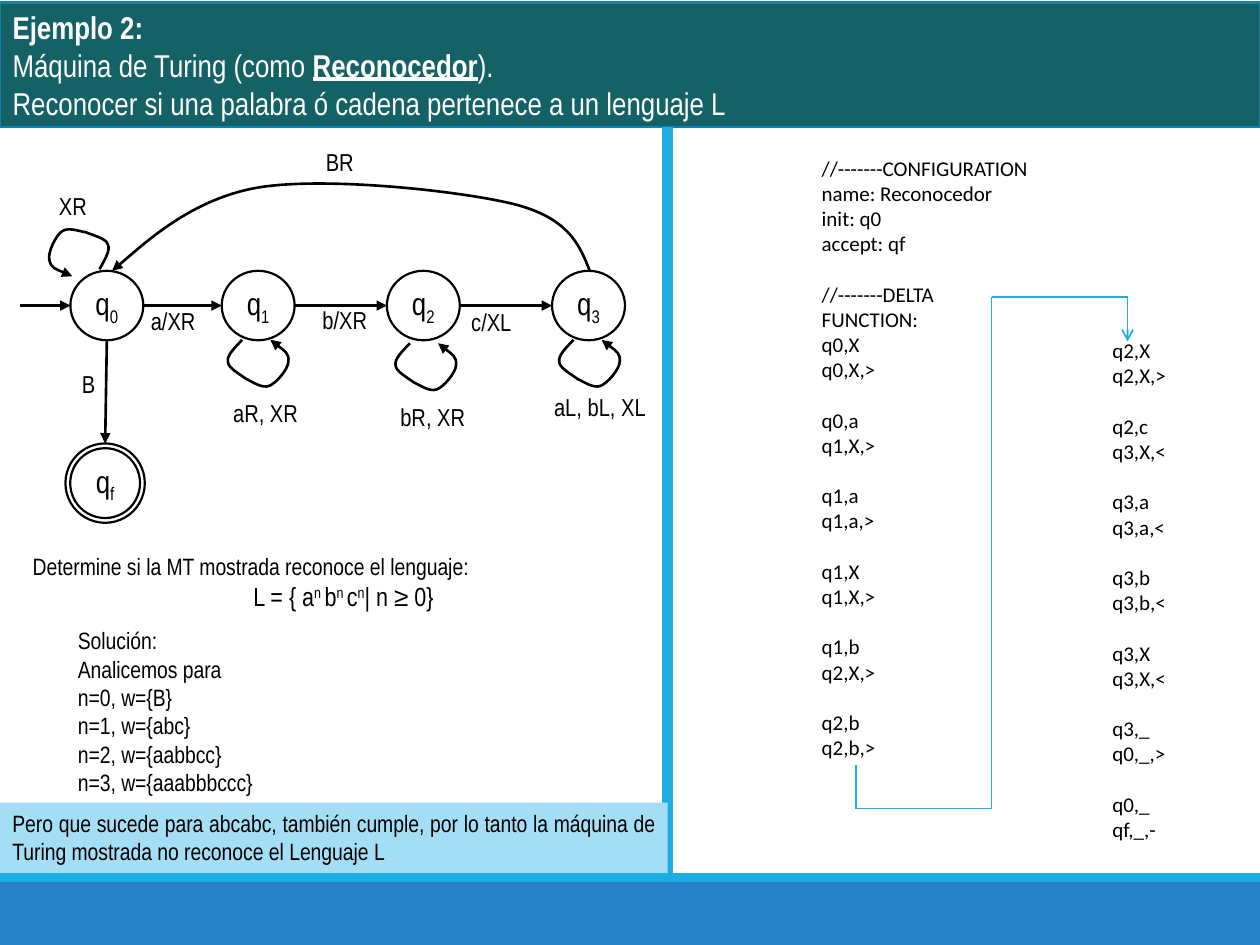
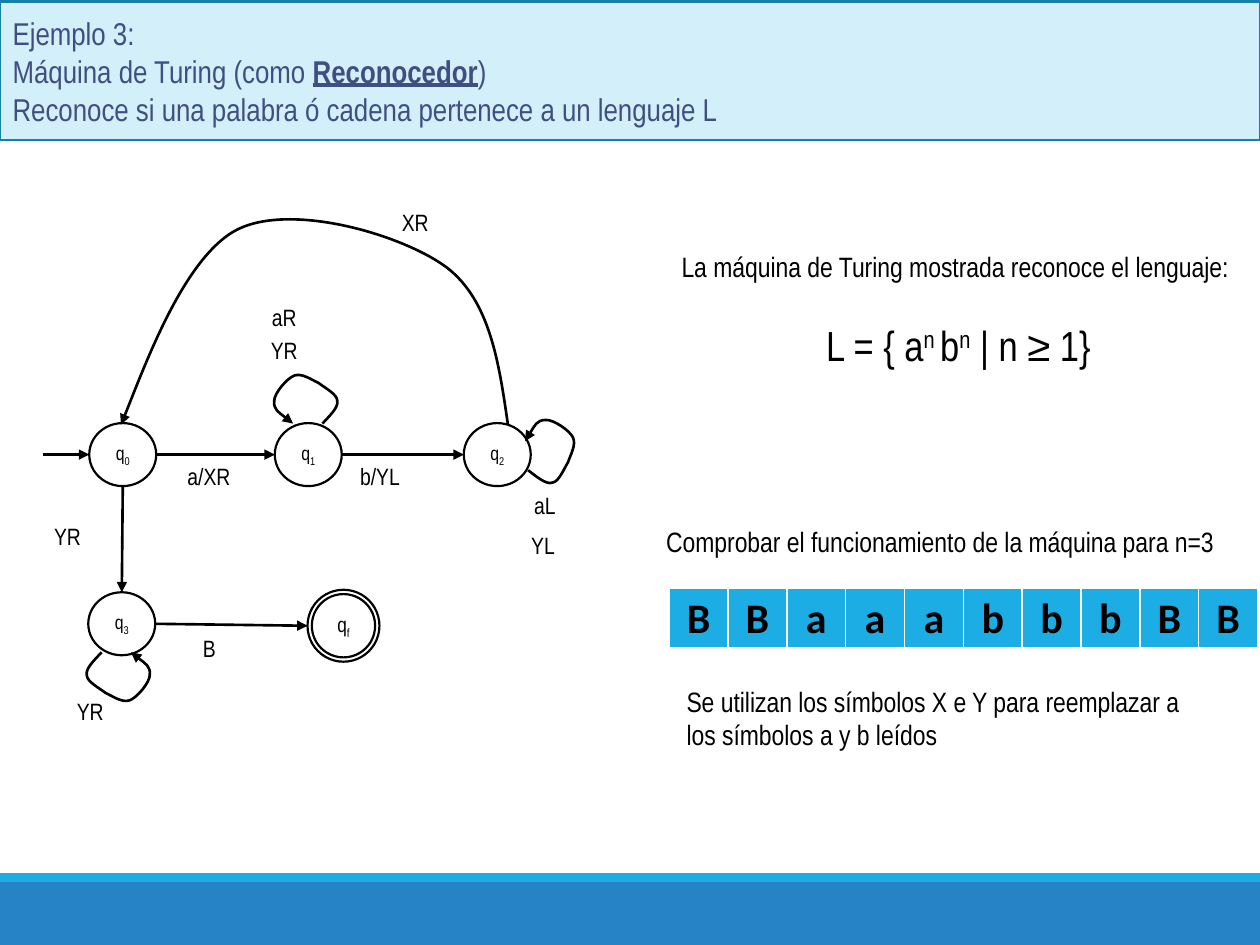
from dataclasses import dataclass
from itertools import pairwise
from math import cos, radians, sin
from typing import NamedTuple

from lxml import etree
from pptx import Presentation
from pptx.dml.color import RGBColor
from pptx.enum.shapes import MSO_CONNECTOR, MSO_SHAPE
from pptx.enum.text import MSO_ANCHOR, MSO_AUTO_SIZE, PP_ALIGN
from pptx.oxml.ns import qn
from pptx.util import Cm, Pt

RECTANGLE, ELLIPSE, DONUT = MSO_SHAPE.RECTANGLE, MSO_SHAPE.OVAL, MSO_SHAPE.DONUT
STRAIGHT = MSO_CONNECTOR.STRAIGHT
LEFT, CENTER, JUSTIFY = PP_ALIGN.LEFT, PP_ALIGN.CENTER, PP_ALIGN.JUSTIFY
TOP, MIDDLE = MSO_ANCHOR.TOP, MSO_ANCHOR.MIDDLE
SLIDE_WIDTH, SLIDE_HEIGHT = 25.4, 19.05
TWO_CONTENT, TITLE_ONLY = 3, 5
SUPERSCRIPT, SUBSCRIPT = 30, -25


@dataclass(frozen=True)
class Theme:
    black: str = "000000"
    white: str = "FFFFFF"
    teal: str = "146266"
    pale: str = "D2EFFA"
    light: str = "A4DEF4"
    accent: str = "1CADE4"
    footer: str = "2683C6"
    border: str = "1580A9"
    slate: str = "404F80"
    narrow: str = "Arial Narrow"
    sans: str = "Calibri"
    title: float = 18
    tape: float = 24
    formula: float = 24
    body: float = 16
    note: float = 13.5
    note_formula: float = 15
    code: float = 12
    code_gap: float = 14.4
    state_line: float = 1.25
    edge_line: float = 1.5


THEME = Theme()


class Box(NamedTuple):
    """Left, top, width and height in centimetres."""
    left: float
    top: float
    width: float
    height: float

    def lengths(self):
        return [Cm(value) for value in self]


class Span(NamedTuple):
    text: str
    bold: bool = False
    underline: bool = False
    baseline: int = 0


@dataclass
class Para:
    spans: list[Span]
    size: float
    align: PP_ALIGN = LEFT
    before: float = 0


@dataclass
class State:
    index: str
    box: Box
    size: float
    final: bool = False

    def side(self, across: float, down: float) -> tuple[float, float]:
        left, top, width, height = self.box
        return left + across * width, top + down * height


class Loop(NamedTuple):
    x: float
    y: float
    angle: float


class Label(NamedTuple):
    text: str
    left: float
    top: float
    width: float


@dataclass
class Machine:
    states: list[State]
    row: list[int]
    row_start: float
    drop: tuple[int, int]
    loops: list[Loop]
    loop_scale: float
    arc: list[tuple[float, float]]
    labels: list[Label]
    label_size: float
    label_height: float


LOOP_CURVE = [(.32, .5), (.47, .34), (.65, .17), (.62, .04), (.62, -.09), (.37, -.22),
              (.24, -.32), (.09, -.39), (-.09, -.52), (-.24, -.47), (-.39, -.42),
              (-.65, -.11), (-.65, .04), (-.67, .22), (-.47, .34), (-.27, .5)]


def rgb(color: str) -> RGBColor:
    return RGBColor.from_string(color)


def plain(text: str, size: float, align=LEFT, before: float = 0) -> Para:
    return Para([Span(text)], size, align, before)


def write(frame, paras: list[Para], color=THEME.black, font=THEME.narrow, anchor=TOP):
    frame.word_wrap = True
    frame.auto_size = MSO_AUTO_SIZE.NONE
    frame.vertical_anchor = anchor
    for number, para in enumerate(paras):
        paragraph = frame.add_paragraph() if number else frame.paragraphs[0]
        properties = paragraph._p.get_or_add_pPr()
        properties.set("marL", "0")
        properties.set("indent", "0")
        etree.SubElement(properties, qn("a:buNone"))
        paragraph.alignment = para.align
        paragraph.space_before = Pt(para.before)
        for span in para.spans:
            run = paragraph.add_run()
            run.text = span.text
            run.font.name, run.font.size = font, Pt(para.size)
            run.font.bold, run.font.underline = span.bold, span.underline
            run.font.color.rgb = rgb(color)
            if span.baseline:
                run._r.get_or_add_rPr().set("baseline", str(span.baseline * 1000))


def add_text(slide, box: Box, paras: list[Para]):
    frame = slide.shapes.add_textbox(*box.lengths()).text_frame
    write(frame, paras)
    return frame


def add_rectangle(slide, box: Box, fill: str):
    shape = slide.shapes.add_shape(RECTANGLE, *box.lengths())
    shape.shadow.inherit = False
    shape.fill.solid()
    shape.fill.fore_color.rgb = rgb(fill)
    shape.line.fill.background()
    return shape


def set_line(shape, color: str, width: float, head: str = ""):
    shape.line.color.rgb = rgb(color)
    shape.line.width = Pt(width)
    if head:
        etree.SubElement(shape.element.spPr.find(qn("a:ln")), qn("a:tailEnd"), type=head)


def add_line(slide, start, end, color=THEME.black, width=THEME.edge_line, head=""):
    ends = [Cm(value) for value in (*start, *end)]
    connector = slide.shapes.add_connector(STRAIGHT, *ends)
    set_line(connector, color, width, head)
    etree.SubElement(connector.element.spPr, qn("a:effectLst"))


def add_curve(slide, points: list[tuple[float, float]]):
    """Draw a start point and then triples of Bézier points, ending in an arrowhead."""
    start, *rest = [(Cm(x), Cm(y)) for x, y in points]
    builder = slide.shapes.build_freeform(*start)
    builder.add_line_segments(rest, close=False)
    curve = builder.convert_to_shape()
    outline = curve.element.spPr.find(".//" + qn("a:path"))
    steps = outline.findall(qn("a:lnTo"))
    for first, second, third in zip(steps[::3], steps[1::3], steps[2::3]):
        first.tag = qn("a:cubicBezTo")
        for step in (second, third):
            first.append(step[0])
            outline.remove(step)
    curve.shadow.inherit = False
    curve.fill.background()
    set_line(curve, THEME.black, THEME.edge_line, "triangle")


def add_loop(slide, loop: Loop, scale: float):
    across, down = scale * cos(radians(loop.angle)), scale * sin(radians(loop.angle))
    add_curve(slide, [(loop.x + x * across - y * down, loop.y + x * down + y * across)
                      for x, y in LOOP_CURVE])


def add_state(slide, state: State):
    shape = slide.shapes.add_shape(DONUT if state.final else ELLIPSE, *state.box.lengths())
    if state.final:
        shape.adjustments[0] = 0.06
    shape.shadow.inherit = False
    shape.fill.background()
    set_line(shape, THEME.black, THEME.state_line)
    frame = shape.text_frame
    write(frame, [Para([Span("q"), Span(state.index, baseline=SUBSCRIPT)],
                       state.size, CENTER)], anchor=MIDDLE)
    frame.word_wrap = False
    frame.margin_left = frame.margin_right = 0


def add_machine(slide, machine: Machine):
    for state in machine.states:
        add_state(slide, state)
    row = [machine.states[number] for number in machine.row]
    entry = row[0].side(0, .5)
    add_line(slide, (machine.row_start, entry[1]), entry, head="triangle")
    for source, target in pairwise(row):
        add_line(slide, source.side(1, .5), target.side(0, .5), head="triangle")
    source, target = (machine.states[number] for number in machine.drop)
    add_line(slide, source.side(.5, 1), target.side(.5, 0), head="triangle")
    add_curve(slide, machine.arc)
    for loop in machine.loops:
        add_loop(slide, loop, machine.loop_scale)
    for label in machine.labels:
        box = Box(label.left, label.top, label.width, machine.label_height)
        frame = add_text(slide, box, [plain(label.text, machine.label_size)])
        frame.word_wrap = False
        frame.auto_size = MSO_AUTO_SIZE.SHAPE_TO_FIT_TEXT


def place(placeholder, box: Box):
    placeholder.left, placeholder.top, placeholder.width, placeholder.height = box.lengths()


def add_title(slide, box: Box, fill: str, color: str, example: Span, ending: str, goal: str):
    title = slide.shapes.title
    place(title, box)
    title.fill.solid()
    title.fill.fore_color.rgb = rgb(fill)
    set_line(title, THEME.border, THEME.state_line)
    lines = [[example],
             [Span("Máquina de Turing (como "), Span("Reconocedor", True, True), Span(ending)],
             [Span(goal + " si una palabra ó cadena pertenece a un lenguaje L")]]
    write(title.text_frame, [Para(line, THEME.title) for line in lines], color, anchor=MIDDLE)


def add_code(placeholder, box: Box, blocks: list[str]):
    """Fill a body placeholder with code; blocks are set apart, lines split at |."""
    place(placeholder, box)
    paras = [plain(line, THEME.code, before=THEME.code_gap if number and not row else 0)
             for number, block in enumerate(blocks)
             for row, line in enumerate(block.split("|"))]
    write(placeholder.text_frame, paras, font=THEME.sans)


def add_master_bands(deck, slide):
    bands = [(Box(0, 17.78, SLIDE_WIDTH, 1.27), THEME.footer),
             (Box(0, 17.6, SLIDE_WIDTH, .18), THEME.accent)]
    tree = deck.slide_master.element.cSld.spTree
    for number, (box, fill) in enumerate(bands):
        band = add_rectangle(slide, box, fill)
        band.element.nvSpPr.cNvPr.id = 20 + number
        tree.insert(2 + number, band.element)


def add_tape(slide, box: Box, symbols: str):
    table = slide.shapes.add_table(1, len(symbols), *box.lengths()).table
    table.first_row = table.horz_banding = False
    for cell, symbol in zip(table.rows[0].cells, symbols):
        properties = cell._tc.get_or_add_tcPr()
        for side, width in (("L", 1), ("R", 1), ("T", 1), ("B", 3)):
            border = etree.SubElement(properties, qn("a:ln" + side), w=str(Pt(width)))
            fill = etree.SubElement(border, qn("a:solidFill"))
            etree.SubElement(fill, qn("a:srgbClr"), val=THEME.white)
        cell.fill.solid()
        cell.fill.fore_color.rgb = rgb(THEME.accent)
        cell.margin_left = cell.margin_right = Cm(.18)
        cell.margin_top = cell.margin_bottom = Cm(.1)
        cell.text = symbol
        paragraph = cell.text_frame.paragraphs[0]
        paragraph.alignment = CENTER
        font = paragraph.runs[0].font
        font.name, font.size, font.bold = THEME.sans, Pt(THEME.tape), True
        font.color.rgb = rgb(THEME.black)


def build_example_2(deck):
    slide = deck.slides.add_slide(deck.slide_layouts[TWO_CONTENT])
    add_master_bands(deck, slide)
    add_title(slide, Box(0, .05, SLIDE_WIDTH, 2.51), THEME.teal, THEME.white,
              Span("Ejemplo 2:", bold=True), ").", "Reconocer")
    add_code(slide.placeholders[1], Box(16.31, 3, 4.78, 13.08), [
        "//-------CONFIGURATION|name: Reconocedor|init: q0|accept: qf",
        "//-------DELTA FUNCTION:|q0,X|q0,X,>", "q0,a|q1,X,>", "q1,a|q1,a,>",
        "q1,X|q1,X,>", "q1,b|q2,X,>", "q2,b|q2,b,>"])
    add_code(slide.placeholders[2], Box(22.17, 6.68, 1.83, 10.52), [
        "q2,X|q2,X,>", "q2,c|q3,X,<", "q3,a|q3,a,<", "q3,b|q3,b,<", "q3,X|q3,X,<",
        "q3,_|q0,_,>", "q0,_|qf,_,-"])
    route = [(17.25, 15.42), (17.25, 16.3), (19.99, 16.3), (19.99, 5.99), (22.73, 5.99),
             (22.73, 6.88)]
    for start, end in pairwise(route):
        add_line(slide, start, end, THEME.accent, 1, "arrow" if end == route[-1] else "")
    add_line(slide, (13.46, 2.57), (13.46, 17.6), THEME.accent, 6)

    formula = [Span("L = { a"), Span("n ", baseline=SUPERSCRIPT), Span("b"),
               Span("n ", baseline=SUPERSCRIPT), Span("c"),
               Span("n", baseline=SUPERSCRIPT), Span("| n ≥ 0}")]
    add_text(slide, Box(.41, 11, 13.03, 1.47), [
        plain("Determine si la MT mostrada reconoce el lenguaje:", THEME.note),
        Para(formula, THEME.note_formula, CENTER)])
    solution = ["Solución:", "Analicemos para", "n=0, w={B}", "n=1, w={abc}",
                "n=2, w={aabbcc}", "n=3, w={aaabbbccc}"]
    add_text(slide, Box(1.32, 12.5, 4.09, 3.71), [plain(line, THEME.note) for line in solution])
    conclusion = add_rectangle(slide, Box(0, 16.18, 13.46, 1.42), THEME.light)
    write(conclusion.text_frame, [plain(
        "Pero que sucede para abcabc, también cumple, por lo tanto la máquina de Turing "
        "mostrada no reconoce el Lenguaje L", THEME.note, JUSTIFY)])

    states = [State(str(number), Box(left, 5.46, 1.47, 1.4), 18)
              for number, left in enumerate((1.42, 4.47, 7.8, 11.13))]
    states.append(State("f", Box(1.32, 8.94, 1.6, 1.6), 18, final=True))
    add_machine(slide, Machine(
        states, row=[0, 1, 2, 3], row_start=.41, drop=(0, 4),
        loops=[Loop(1.59, 5.04, -14.5), Loop(5.19, 7.33, 180), Loop(8.57, 7.4, 180),
               Loop(11.87, 7.33, 180)], loop_scale=.96,
        arc=[(11.89, 5.46), (11.68, 4.93), (11.46, 4.39), (10.34, 4.11), (9.22, 3.84),
             (6.55, 3.56), (5.21, 3.78), (3.86, 4.01), (2.72, 5.08), (2.26, 5.46)],
        labels=[Label("a/XR", 2.79, 6.05, 1.52), Label("aR, XR", 4.45, 7.9, 1.96),
                Label("aL, bL, XL", 10.92, 7.77, 2.57), Label("BR", 6.32, 2.84, 1.17),
                Label("b/XR", 6.25, 6.02, 1.52), Label("c/XL", 9.25, 6.07, 1.42),
                Label("B", 1.4, 7.32, .84), Label("bR, XR", 7.82, 7.98, 1.96),
                Label("XR", .94, 3.73, 1.17)], label_size=14, label_height=.94))


def build_example_3(deck):
    slide = deck.slides.add_slide(deck.slide_layouts[TITLE_ONLY])
    add_title(slide, Box(0, .03, SLIDE_WIDTH, 2.79), THEME.pale, THEME.slate,
              Span("Ejemplo 3:"), ")", "Reconoce")
    formula = [Span("L = { a"), Span("n ", baseline=SUPERSCRIPT), Span("b"),
               Span("n", baseline=SUPERSCRIPT), Span(" | n ≥ 1}")]
    add_text(slide, Box(13.49, 4.9, 11.66, 2.74), [
        plain("La máquina de Turing mostrada reconoce el lenguaje:", THEME.body),
        Para(formula, THEME.formula, CENTER, before=21)])
    add_text(slide, Box(13.18, 10.44, 11.58, .94), [
        plain("Comprobar el funcionamiento de la máquina para n=3", THEME.body)])
    add_tape(slide, Box(13.49, 11.86, 11.86, 1.19), "BBaaabbbBB")
    add_text(slide, Box(13.59, 13.67, 11.15, 1.63), [plain(
        "Se utilizan los símbolos X e Y para reemplazar a los símbolos a y b leídos",
        THEME.body)])

    corners = [(1.8, 8.53), (5.54, 8.53), (9.35, 8.53), (1.78, 11.94)]
    states = [State(str(number), Box(left, top, 1.35, 1.27), 11)
              for number, (left, top) in enumerate(corners)]
    states.append(State("f", Box(6.2, 11.89, 1.45, 1.45), 12, final=True))
    add_machine(slide, Machine(
        states, row=[0, 1, 2], row_start=.86, drop=(0, 3),
        loops=[Loop(6.18, 8.04, 0), Loop(11.11, 9.11, 83.9), Loop(2.37, 13.65, 180)],
        loop_scale=1,
        arc=[(10.24, 8.56), (10.06, 7.32), (9.88, 6.05), (8.99, 5.38), (8.08, 4.72),
             (5.89, 4.09), (4.8, 4.62), (3.71, 5.16), (2.82, 7.65), (2.44, 8.56)],
        labels=[Label("a/XR", 3.53, 9.19, 1.4), Label("b/YL", 7.01, 9.19, 1.32),
                Label("aR", 5.23, 5.99, 1.02), Label("YR", 5.21, 6.65, 1.07),
                Label("aL", 10.52, 9.78, .94), Label("YL", 10.46, 10.57, .99),
                Label("XR", 7.85, 4.06, 1.07), Label("YR", .84, 10.39, 1.07),
                Label("YR", 1.3, 13.92, 1.07), Label("B", 3.84, 12.65, .79)],
        label_size=13.5, label_height=.84))
    add_line(slide, states[3].side(1, .5), states[4].side(0, .5), head="triangle")


def main():
    deck = Presentation()
    deck.slide_width, deck.slide_height = Cm(SLIDE_WIDTH), Cm(SLIDE_HEIGHT)
    build_example_2(deck)
    build_example_3(deck)
    deck.save("out.pptx")


if __name__ == "__main__":
    main()
